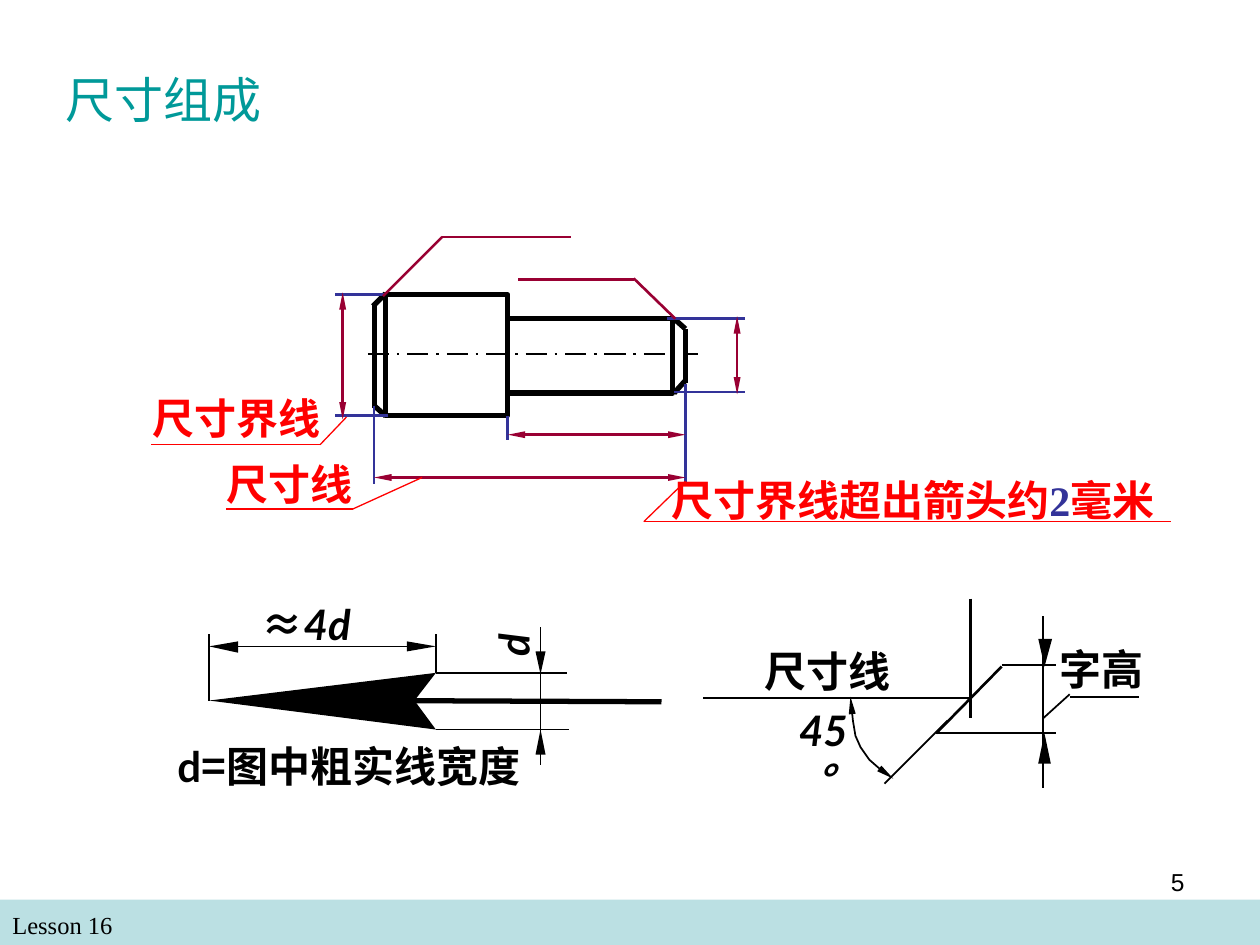
from dataclasses import dataclass
from typing import Any

from lxml.etree import SubElement
from pptx import Presentation
from pptx.dml.color import RGBColor
from pptx.enum.dml import MSO_LINE
from pptx.enum.shapes import MSO_CONNECTOR, MSO_SHAPE
from pptx.enum.text import MSO_ANCHOR, PP_ALIGN
from pptx.oxml.ns import qn
from pptx.util import Inches, Pt

COLORS = {
    "black": "000000",
    "red": "FF0000",
    "blue": "333399",
    "crimson": "990033",
    "teal": "009999",
    "band": "BBE0E3",
}
CHINESE = "Noto Sans CJK SC"
SERIF = "Times New Roman"


def color(name):
    return RGBColor.from_string(COLORS[name])


def style_line(shape, name, width, arrows=False):
    shape.line.color.rgb = color(name)
    shape.line.width = Pt(width)
    if arrows:
        outline = shape.element.spPr.get_or_add_ln()
        for end in ("a:headEnd", "a:tailEnd"):
            SubElement(outline, qn(end), type="triangle", w="sm", len="lg")


def add_span(para, text, font, size, name="black", bold=False, italic=False):
    span = para.add_run()
    span.text = text
    span.font.name = font
    span.font.size = Pt(size)
    span.font.bold = bold
    span.font.italic = italic
    span.font.color.rgb = color(name)
    SubElement(span.font._element, qn("a:ea"), typeface=CHINESE)


@dataclass
class Region:
    page: Any
    left: float
    top: float

    def place(self, x, y):
        return Inches(self.left + x), Inches(self.top + y)

    def line(self, start, end, name="black", width=1, arrows=False, dash=None):
        line = self.page.shapes.add_connector(
            MSO_CONNECTOR.STRAIGHT, *self.place(*start), *self.place(*end))
        line.line.dash_style = dash
        style_line(line, name, width, arrows)
        SubElement(line.element.spPr, qn("a:effectLst"))

    def lines(self, pairs, name="black", width=1, arrows=False):
        for start, end in pairs:
            self.line(start, end, name, width, arrows)

    def rectangle(self, x, y, width, height):
        box = self.page.shapes.add_shape(
            MSO_SHAPE.RECTANGLE, *self.place(x, y), Inches(width), Inches(height))
        box.shadow.inherit = False
        return box

    def outline(self, points, closed=True):
        places = [self.place(*point) for point in points]
        builder = self.page.shapes.build_freeform(*places[0])
        builder.add_line_segments(places[1:], close=closed)
        shape = builder.convert_to_shape()
        shape.shadow.inherit = False
        return shape

    def solid(self, *points):
        shape = self.outline(points)
        shape.fill.solid()
        shape.fill.fore_color.rgb = color("black")
        shape.line.fill.background()

    def text(self, x, y, width, height, spans, align=PP_ALIGN.LEFT,
             anchor=MSO_ANCHOR.TOP, margins=True, wrap=False):
        box = self.page.shapes.add_textbox(
            *self.place(x, y), Inches(width), Inches(height))
        frame = box.text_frame
        frame.word_wrap = wrap
        frame.vertical_anchor = anchor
        if not margins:
            frame.margin_left = frame.margin_right = 0
            frame.margin_top = frame.margin_bottom = 0
        para = frame.paragraphs[0]
        para.alignment = align
        for span in spans:
            add_span(para, *span)
        return box


def add_title(page, left, top):
    title = page.shapes.title
    title.left, title.top = Inches(left), Inches(top)
    title.width, title.height = Inches(4.8), Inches(0.57)
    title.text_frame.vertical_anchor = MSO_ANCHOR.MIDDLE
    para = title.text_frame.paragraphs[0]
    para.alignment = PP_ALIGN.LEFT
    add_span(para, "尺寸组成", "Lato", 28, "teal")


def add_footer(page, left, top):
    region = Region(page, left, top)
    band = region.rectangle(0, 0.31, 10, 0.36)
    band.fill.solid()
    band.fill.fore_color.rgb = color("band")
    band.line.fill.background()
    region.text(0, 0.34, 4.83, 0.34, [("Lesson 16", SERIF, 14)], wrap=True)
    region.text(7.17, 0, 2.33, 0.52, [("5", "Arial", 14)], PP_ALIGN.RIGHT, wrap=True)


def add_shaft(page, left, top):
    region = Region(page, left, top)
    region.line((0.32, 1.01), (2.94, 1.01), width=1.5, dash=MSO_LINE.LONG_DASH_DOT)
    for body in ((0.46, 0.54, 0.97, 0.96), (1.43, 0.73, 1.31, 0.59)):
        box = region.rectangle(*body)
        box.fill.background()
        style_line(box, "black", 3)
    chamfers = [
        ((2.75, 0.73), (2.84, 0.81)), ((2.84, 0.81), (2.84, 1.24)),
        ((2.75, 1.32), (2.84, 1.22)), ((0.46, 0.53), (0.36, 0.63)),
        ((0.37, 0.61), (0.37, 1.44)), ((0.46, 1.5), (0.37, 1.42))]
    extensions = [
        ((2.69, 0.73), (3.31, 0.73)), ((2.75, 1.31), (3.31, 1.31)),
        ((0.45, 0.54), (0.06, 0.54)), ((0.48, 1.5), (0.06, 1.5)),
        ((1.43, 1.5), (1.43, 1.69)), ((2.84, 1.25), (2.84, 2.04)),
        ((0.37, 1.42), (0.37, 2.04))]
    dimensions = [
        ((0.12, 0.52), (0.12, 1.53)), ((1.43, 1.65), (2.84, 1.65)),
        ((0.37, 1.99), (2.84, 1.99)), ((3.25, 0.71), (3.25, 1.33))]
    leaders = [
        ((0.44, 0.55), (0.91, 0.08)), ((0.91, 0.08), (1.93, 0.08)),
        ((2.76, 0.73), (2.43, 0.41)), ((2.43, 0.42), (1.51, 0.42))]
    region.lines(chamfers, width=3)
    region.lines(extensions, "blue", 1.5)
    region.lines(dimensions, "crimson", 1.5, arrows=True)
    region.lines(leaders, "crimson", 1.5)


def add_callout(page, left, top, width, parts, tip, elbow, end):
    region = Region(page, left, top)
    spans = [(text, SERIF, 24, name, True) for text, name in parts]
    region.text(0, 0, width, 0.5, spans)
    region.lines([(tip, elbow), (elbow, end)], "red", 0.75)


def add_arrowhead_detail(page, left, top):
    region = Region(page, left, top)
    region.lines([
        ((2.16, 1.09), (3.22, 1.09)), ((2.16, 0.64), (3.2, 0.64)),
        ((0.36, 0.86), (0.36, 0.33)), ((2.16, 0.64), (2.16, 0.33)),
        ((0.44, 0.43), (2.08, 0.43)), ((2.99, 1.37), (2.99, 0.28))])
    region.line((1.69, 0.86), (3.95, 0.87), width=3)
    region.solid((0.36, 0.86), (2.16, 0.64), (1.99, 0.86), (2.16, 1.09))
    region.solid((0.59, 0.39), (0.59, 0.48), (0.36, 0.43))
    region.solid((1.93, 0.39), (1.93, 0.47), (2.16, 0.43))
    region.solid((2.95, 0.47), (3.03, 0.47), (2.99, 0.65))
    region.solid((2.95, 1.29), (3.03, 1.29), (2.99, 1.09))
    region.text(0.56, 0.05, 1.14, 0.4,
                [("≈", CHINESE, 24, "black", True),
                 ("4d", "Lato", 24, "black", True, True)],
                PP_ALIGN.CENTER, margins=False, wrap=True)
    height = region.text(2.57, 0.17, 0.4, 0.5,
                         [("d", "Lato", 24, "black", True, True)],
                         PP_ALIGN.CENTER, MSO_ANCHOR.MIDDLE)
    height.rotation = 270
    region.text(0.01, 1.13, 3.02, 0.5,
                [("d", "Lato", 24, "black", True),
                 ("=图中粗实线宽度", CHINESE, 24, "black", True)],
                anchor=MSO_ANCHOR.MIDDLE)


def add_oblique_detail(page, left, top):
    region = Region(page, left, top)
    region.lines([
        ((2.78, 1.55), (2.78, 0.19)), ((2.02, 1.02), (1.52, 1.52)),
        ((1.93, 1.12), (2.88, 1.12)), ((2.45, 0.58), (2.88, 0.58)),
        ((2.78, 1), (2.99, 0.81)), ((2.99, 0.83), (3.54, 0.83))])
    region.lines([
        ((0.08, 0.84), (2.2, 0.84)), ((1.93, 1.12), (2.45, 0.59)),
        ((2.2, 0.05), (2.2, 1))], width=1.5)
    region.solid((2.74, 0.37), (2.85, 0.37), (2.79, 0.59))
    region.solid((2.74, 1.36), (2.84, 1.36), (2.79, 1.12))
    arc = region.outline([
        (1.25, 0.83), (1.27, 1.02), (1.29, 1.14), (1.33, 1.23),
        (1.4, 1.33), (1.48, 1.4), (1.59, 1.48)], closed=False)
    arc.fill.background()
    style_line(arc, "black", 1, arrows=True)
    region.text(2.91, 0.41, 0.67, 0.4, [("字高", CHINESE, 24, "black", True)],
                PP_ALIGN.CENTER, margins=False)
    region.text(0.47, 0.37, 1.2, 0.5, [("尺寸线", CHINESE, 24, "black", True)],
                PP_ALIGN.CENTER, MSO_ANCHOR.MIDDLE)
    region.text(0.68, 1.04, 0.71, 0.5,
                [("45", "Lato", 24, "black", True, True),
                 ("°", CHINESE, 24, "black", True, True)],
                PP_ALIGN.CENTER, MSO_ANCHOR.MIDDLE, wrap=True)


def main():
    deck = Presentation()
    deck.slide_width, deck.slide_height = Inches(10), Inches(7.5)
    page = deck.slides.add_slide(deck.slide_layouts[5])
    add_footer(page, 0, 6.83)
    add_title(page, 0.42, 0.5)
    add_shaft(page, 2.6, 1.8)
    add_callout(page, 1.11, 3.07, 1.53, [("尺寸界线", "red")],
                (1.64, 0.24), (1.43, 0.46), (0.09, 0.46))
    add_callout(page, 1.7, 3.59, 1.2, [("尺寸线", "red")],
                (1.65, 0.2), (1.1, 0.45), (0.09, 0.45))
    add_callout(page, 5.23, 3.72, 4.19,
                [("尺寸界线超出箭头约", "red"), ("2", "blue"), ("毫米", "red")],
                (0.21, 0.1), (-0.12, 0.42), (4.06, 0.42))
    add_arrowhead_detail(page, 1.3, 4.7)
    add_oblique_detail(page, 5.5, 4.7)
    deck.save("out.pptx")


if __name__ == "__main__":
    main()
